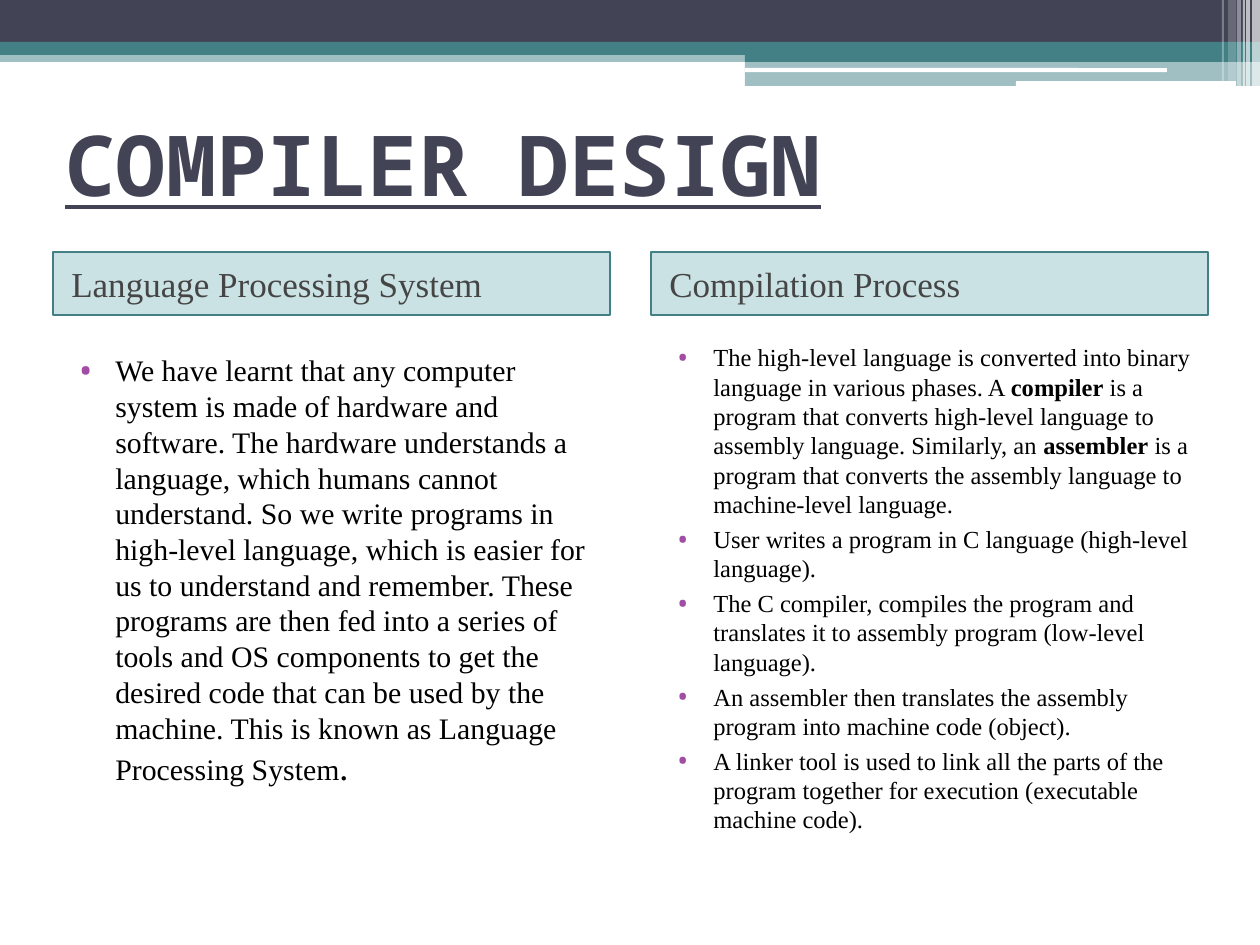
from dataclasses import dataclass, field

from lxml.etree import SubElement
from pptx import Presentation
from pptx.dml.color import RGBColor
from pptx.enum.shapes import MSO_SHAPE
from pptx.enum.text import MSO_ANCHOR
from pptx.oxml.ns import qn
from pptx.util import Emu, Pt

COLORS = {
    "navy": "424456", "teal": "438086", "panel": "328E97", "white": "FFFFFF",
    "black": "000000", "heading": "454545", "bullet": "A04DA3",
}
SERIF = "Times New Roman"
SCALE = 914400 / 126


def px(length):
    return Emu(round(length * SCALE))


@dataclass
class SlideBuilder:
    """Draws styled bars, panels and text on one slide."""

    slide: object
    colors: dict = field(default_factory=lambda: COLORS)

    def color(self, name):
        return RGBColor.from_string(self.colors[name])

    def bar(self, box, fill, opacity=100, kind=MSO_SHAPE.RECTANGLE):
        shape = self.slide.shapes.add_shape(kind, *map(px, box))
        shape.shadow.inherit = False
        shape.fill.solid()
        shape.fill.fore_color.rgb = self.color(fill)
        shape.line.fill.background()
        if opacity < 100:
            color = shape.fill._xPr.find(qn("a:solidFill"))[0]
            SubElement(color, qn("a:alpha"), val=str(opacity * 1000))
        return shape

    def run(self, paragraph, text, size, color="black", font=SERIF, bold=False):
        run = paragraph.add_run()
        run.text = text
        run.font.size = Pt(size)
        run.font.name = font
        run.font.bold = bold
        run.font.color.rgb = self.color(color)
        return run

    def text_box(self, box):
        frame = self.slide.shapes.add_textbox(*map(px, box)).text_frame
        frame.word_wrap = True
        return frame

    def title(self, box, text):
        frame = self.text_box(box)
        frame.vertical_anchor = MSO_ANCHOR.MIDDLE
        run = self.run(frame.paragraphs[0], text, 48, "navy", "Noto Sans Mono", True)
        run.font.underline = True

    def heading(self, box, text, space_before):
        shape = self.bar(box, "panel", 25)
        shape.line.color.rgb = self.color("teal")
        shape.line.width = Pt(1)
        frame = shape.text_frame
        frame.word_wrap = True
        frame.vertical_anchor = MSO_ANCHOR.MIDDLE
        paragraph = frame.paragraphs[0]
        paragraph.space_before = Pt(space_before)
        properties = paragraph._p.get_or_add_pPr()
        properties.set("marL", str(px(6)))
        properties.set("algn", "l")
        self.run(paragraph, text, 20, "heading")

    def bullets(self, box, items, size):
        frame = self.text_box(box)
        for index, item in enumerate(items):
            paragraph = frame.add_paragraph() if index else frame.paragraphs[0]
            paragraph.space_before = Pt(3)
            properties = paragraph._p.get_or_add_pPr()
            properties.set("marL", str(px(50)))
            properties.set("indent", str(-px(35)))
            bullet_color = SubElement(properties, qn("a:buClr"))
            SubElement(bullet_color, qn("a:srgbClr"), val=self.colors["bullet"])
            SubElement(properties, qn("a:buFont"), typeface="Georgia")
            SubElement(properties, qn("a:buChar"), char="•")
            for text, style in item:
                self.run(paragraph, text, **{"size": size, **style})


BOLD = {"bold": True}
LANGUAGE_SYSTEM = [[
    ("We have learnt that any computer system is made of hardware and software. "
     "The hardware understands a language, which humans cannot understand. "
     "So we write programs in high-level language, which is easier for us to "
     "understand and remember. These programs are then fed into a series of tools "
     "and OS components to get the desired code that can be used by the machine. "
     "This is known as Language Processing System", {}),
    (".", {"size": 20, "font": "TeX Gyre Schola"}),
]]
COMPILATION = [
    [
        ("The high-level language is converted into binary language in various "
         "phases. A ", {}),
        ("compiler", BOLD),
        (" is a program that converts high-level language to assembly language. "
         "Similarly, an ", {}),
        ("assembler", BOLD),
        (" is a program that converts the assembly language to machine-level "
         "language.", {}),
    ],
    [("User writes a program in C language (high-level language).", {})],
    [("The C compiler, compiles the program and translates it to assembly program "
      "(low-level language).", {})],
    [("An assembler then translates the assembly program into machine code "
      "(object).", {})],
    [("A linker tool is used to link all the parts of the program together for "
      "execution (executable machine code).", {})],
]
BANDS = [
    ((0, 50, 1260, 12), "teal", 50),
    ((0, 0, 1260, 43), "navy", 100),
    ((0, 42, 1260, 13), "teal", 100),
    ((745, 49, 515, 13), "teal", 100),
    ((745, 61, 515, 25), "teal", 50),
]
HIGHLIGHTS = [(745, 68, 422, 4), (1016, 81, 220, 5)]
STRIPES = [
    (1252, 8, 86, 65), (1246, 4, 86, 65), (1243, 2, 86, 60),
    (1237, 4, 86, 40), (1228, 8, 81, 20), (1222, 2, 81, 30),
]
LEFT, RIGHT, COLUMN_WIDTH = 53, 651, 557


def main():
    presentation = Presentation()
    presentation.slide_width = px(1260)
    presentation.slide_height = px(945)
    builder = SlideBuilder(presentation.slides.add_slide(presentation.slide_layouts[6]))

    for box, fill, opacity in BANDS:
        builder.bar(box, fill, opacity)
    for box in HIGHLIGHTS:
        shape = builder.bar(box, "white", kind=MSO_SHAPE.ROUNDED_RECTANGLE)
        shape.adjustments[0] = 0.17
    for left, width, height, opacity in STRIPES:
        builder.bar((left, 0, width, height), "white", opacity)

    builder.title((LEFT, 105, 1155, 116), "COMPILER DESIGN")
    builder.heading((LEFT, 252, COLUMN_WIDTH, 63), "Language Processing System", 6)
    builder.heading((RIGHT, 252, COLUMN_WIDTH, 63), "Compilation Process", 3)
    builder.bullets((LEFT, 346, COLUMN_WIDTH, 536), LANGUAGE_SYSTEM, 17)
    builder.bullets((RIGHT, 336, COLUMN_WIDTH, 536), COMPILATION, 14)
    presentation.save("out.pptx")


if __name__ == "__main__":
    main()
